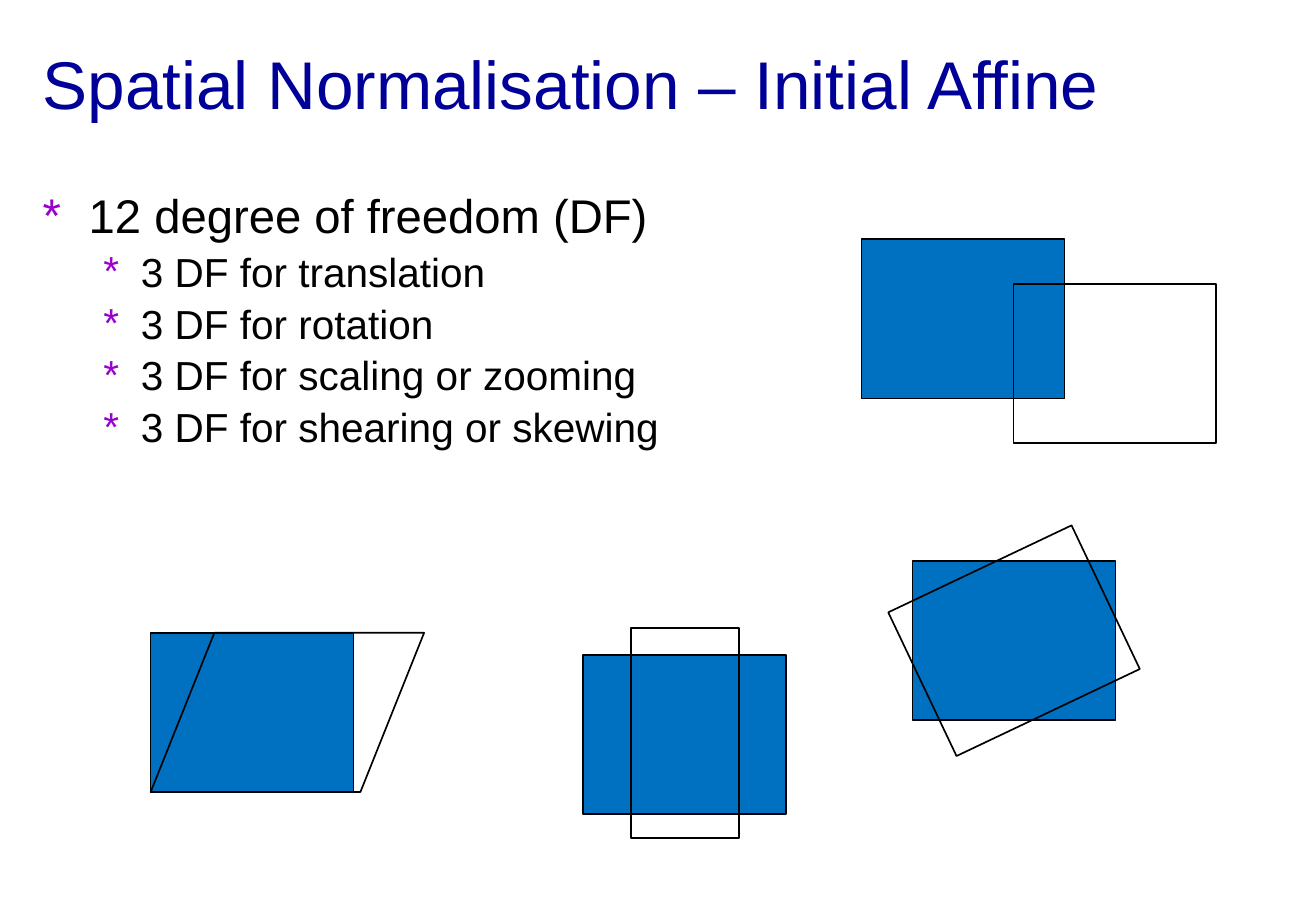
from lxml import etree
from pptx import Presentation
from pptx.dml.color import RGBColor
from pptx.enum import shapes, text
from pptx.oxml.ns import qn
from pptx.util import Pt

PX = 9144  # 100 px to the inch


def color(code):
    return RGBColor.from_string(code)


def place(item, box):
    item.left, item.top, item.width, item.height = [n * PX for n in box]


deck = Presentation()
deck.slide_width, deck.slide_height = 1083 * PX, 750 * PX
slide = deck.slides.add_slide(deck.slide_layouts[1])
title, body = slide.placeholders

# Text frames
for item, box, top in ((title, (25, 25, 1033, 125), 10),
                       (body, (25, 150, 1033, 533), 9)):
    place(item, box)
    frame = item.text_frame
    frame.word_wrap = True
    frame.auto_size = text.MSO_AUTO_SIZE.NONE
    frame.vertical_anchor = text.MSO_ANCHOR.TOP
    frame.margin_left, frame.margin_top = 10 * PX, top * PX

# Title
title.text_frame.text = "Spatial Normalisation – Initial Affine"
head = title.text_frame.paragraphs[0]
head.alignment = text.PP_ALIGN.LEFT
head.font.name, head.font.size = "Arial", Pt(40)
head.font.color.rgb = color("000099")

# Bulleted list: one heading, then its four parts
parts = ("translation", "rotation", "scaling or zooming", "shearing or skewing")
lines = ["12 degree of freedom (DF)"] + [f"3 DF for {part}" for part in parts]
body.text_frame.text = "\n".join(lines)
for i, para in enumerate(body.text_frame.paragraphs):
    level, size, left, hang = (1, 24, 81, 31) if i else (0, 28, 38, 38)
    para.level = level
    para.line_spacing = 0.9
    para.font.name, para.font.size = "Arial", Pt(size)
    para.font.color.rgb = color("000000")
    props = para._p.get_or_add_pPr()
    props.set("marL", str(left * PX))
    props.set("indent", str(-hang * PX))
    space = etree.SubElement(props, qn("a:spcBef"))
    etree.SubElement(space, qn("a:spcPct"), val="20000")
    tint = etree.SubElement(props, qn("a:buClr"))
    etree.SubElement(tint, qn("a:srgbClr"), val="9900CC")
    etree.SubElement(props, qn("a:buFont"), typeface="Arial")
    etree.SubElement(props, qn("a:buChar"), char="*")

# Each pair: a filled block, then the outline it is moved to
kinds = shapes.MSO_SHAPE
W, H = 167, 131
pairs = (
    ((709, 197), kinds.RECTANGLE, (834, 234, W, H), 0),            # translation
    ((751, 462), kinds.RECTANGLE, (751, 462, W, H), 334.6),        # rotation
    ((480, 539), kinds.RECTANGLE, (519, 517, 89, 173), 0),         # scaling
    ((124, 521), kinds.PARALLELOGRAM, (124, 521, 225, H), 0),      # shearing
)
for start, kind, box, turn in pairs:
    block = slide.shapes.add_shape(kinds.RECTANGLE, 0, 0, 0, 0)
    place(block, (*start, W, H))
    block.fill.solid()
    block.fill.fore_color.rgb = color("0070C0")
    frame = slide.shapes.add_shape(kind, 0, 0, 0, 0)
    place(frame, box)
    frame.rotation = turn
    frame.fill.background()
    if kind == kinds.PARALLELOGRAM:
        frame.adjustments[0] = 0.4
    for item in (block, frame):
        item.shadow.inherit = False
        item.line.color.rgb = color("000000")
        item.line.width = Pt(1)

deck.save("out.pptx")
